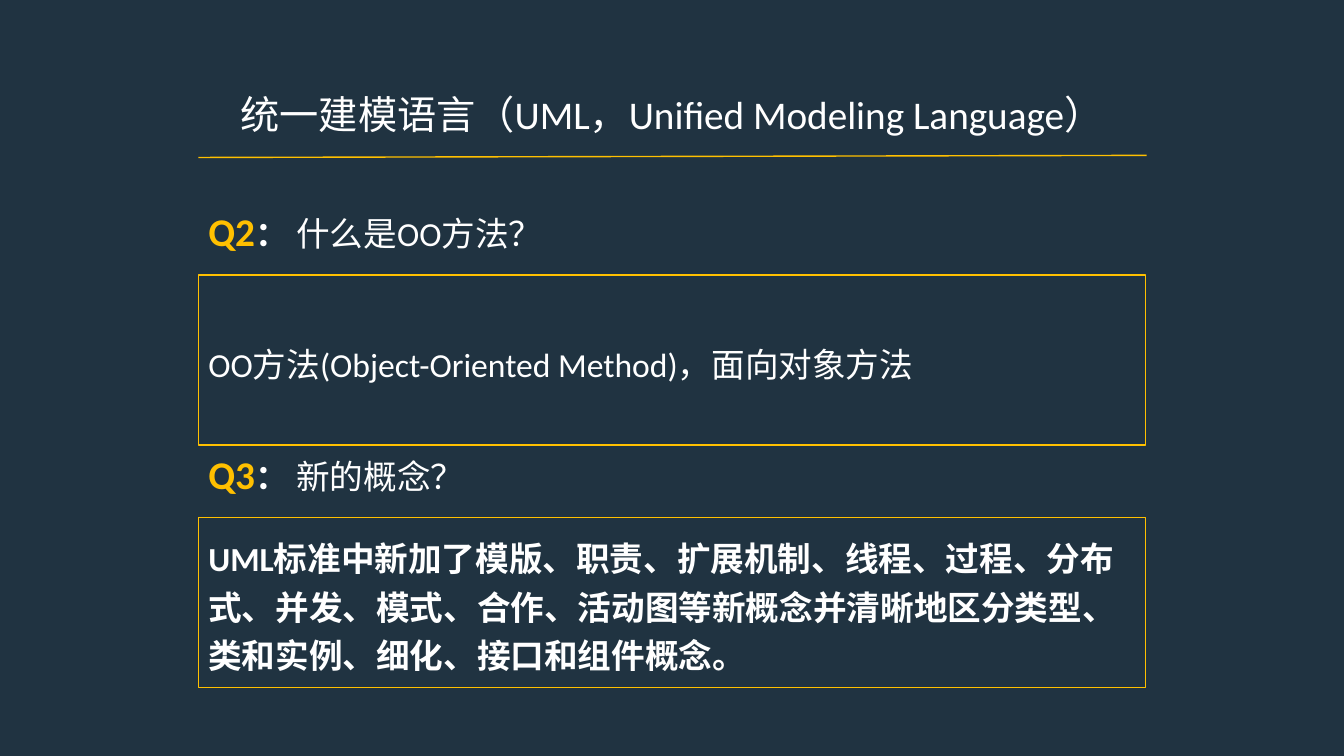
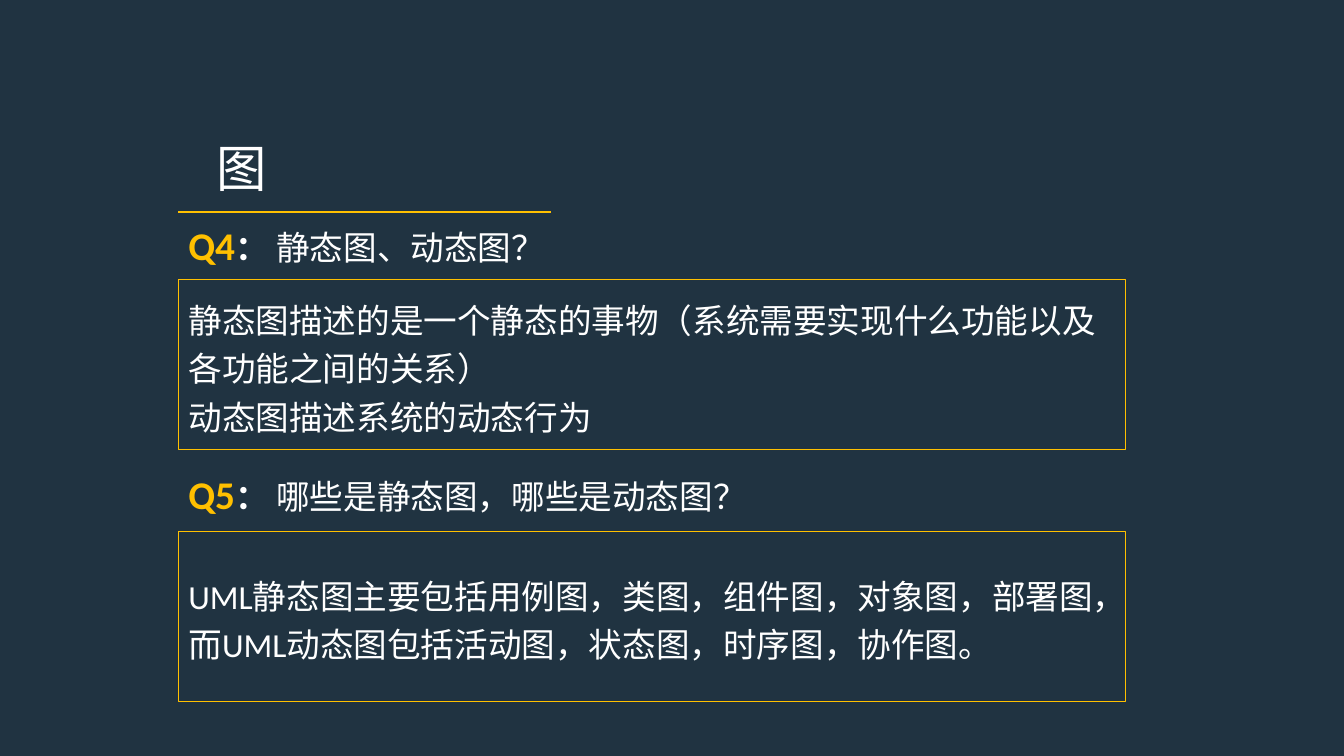
from dataclasses import dataclass

from pptx import Presentation
from pptx.dml.color import RGBColor
from pptx.enum.shapes import MSO_CONNECTOR, MSO_SHAPE
from pptx.enum.text import MSO_ANCHOR, MSO_AUTO_SIZE, PP_ALIGN
from pptx.oxml.ns import qn
from pptx.util import Emu, Pt
from lxml.etree import SubElement

PX = 9525  # EMU in one px


@dataclass(frozen=True)
class Theme:
    back: RGBColor = RGBColor(0x20, 0x33, 0x41)
    gold: RGBColor = RGBColor(0xFF, 0xC0, 0x00)
    white: RGBColor = RGBColor(0xFF, 0xFF, 0xFF)
    font: str = "Calibri"
    label: int = 28
    body: int = 24
    line: int = 1
    spacing: float = 1.2


T = Theme()
CARD_W, CARD_H, LABEL_H = 902, 162, 55

SLIDES = [
    dict(
        title="统一建模语言（UML，Unified Modeling Language）",
        title_size=28, title_box=(178, 81, 924, 55),
        rule=(189, 150, 1092, 148), left=189,
        questions=[
            dict(top=193, gap=14, label="Q2", ask="什么是OO方法？",
                 answer=["OO方法(Object-Oriented Method)，面向对象方法"]),
            dict(top=424, gap=14, label="Q3", ask="新的概念？", bold=True,
                 answer=["UML标准中新加了模版、职责、扩展机制、线程、过程、分布式、并发、"
                         "模式、合作、活动图等新概念并清晰地区分类型、类和实例、细化、"
                         "接口和组件概念。"]),
        ],
    ),
    dict(
        title="图",
        title_size=36, title_box=(157, 126, 147, 68),
        rule=(170, 202, 525, 202), left=170,
        questions=[
            dict(top=206, gap=5, label="Q4", ask="静态图、动态图？",
                 answer=["静态图描述的是一个静态的事物（系统需要实现什么功能以及各功能之间的关系）",
                         "动态图描述系统的动态行为"]),
            dict(top=443, gap=8, label="Q5", ask="哪些是静态图，哪些是动态图？",
                 answer=["UML静态图主要包括用例图，类图，组件图，对象图，部署图，"
                         "而UML动态图包括活动图，状态图，时序图，协作图。"]),
        ],
    ),
]


def px(*lengths):
    return [Emu(n * PX) for n in lengths]


def set_all(obj, **values):
    for name, value in values.items():
        setattr(obj, name, value)


def add_run(p, text, size, color=T.white, bold=False):
    r = p.add_run()
    r.text = text
    set_all(r.font, name=T.font, size=Pt(size), bold=bold)
    r.font.color.rgb = color


def add_title(s, text, size, box):
    sp = s.shapes.title
    set_all(sp, **dict(zip(("left", "top", "width", "height"), px(*box))))
    tf = sp.text_frame
    set_all(tf, word_wrap=True, vertical_anchor=MSO_ANCHOR.TOP,
            auto_size=MSO_AUTO_SIZE.SHAPE_TO_FIT_TEXT)
    p = tf.paragraphs[0]
    p.alignment = PP_ALIGN.CENTER
    add_run(p, text, size)


def add_rule(s, ends):
    line = s.shapes.add_connector(MSO_CONNECTOR.STRAIGHT, *px(*ends))
    line.line.color.rgb = T.gold
    line.line.width = Pt(T.line)
    SubElement(line._element.spPr, qn("a:effectLst"))


def add_question(s, left, top, gap, label, ask, answer, bold=False):
    # Question line
    sp = s.shapes.add_textbox(*px(left, top, CARD_W, LABEL_H))
    tf = sp.text_frame
    set_all(tf, word_wrap=True, auto_size=MSO_AUTO_SIZE.SHAPE_TO_FIT_TEXT)
    p = tf.paragraphs[0]
    add_run(p, label, T.label, T.gold, bold=True)
    add_run(p, "： ", T.body, bold=True)
    add_run(p, ask, T.body)

    # Outlined answer
    sp = s.shapes.add_shape(
        MSO_SHAPE.RECTANGLE, *px(left, top + LABEL_H + gap, CARD_W, CARD_H))
    sp.shadow.inherit = False
    sp.fill.background()
    sp.line.color.rgb = T.gold
    sp.line.width = Pt(T.line)
    tf = sp.text_frame
    set_all(tf, word_wrap=True, vertical_anchor=MSO_ANCHOR.MIDDLE)
    for i, text in enumerate(answer):
        p = tf.add_paragraph() if i else tf.paragraphs[0]
        set_all(p, alignment=PP_ALIGN.LEFT, line_spacing=T.spacing)
        add_run(p, text, T.body, bold=bold)


def add_question_slide(prs, title, title_size, title_box, rule, left, questions):
    s = prs.slides.add_slide(prs.slide_layouts.get_by_name("Title Only"))
    add_title(s, title, title_size, title_box)
    add_rule(s, rule)
    for question in questions:
        add_question(s, left, **question)


def main():
    prs = Presentation()
    prs.slide_width, prs.slide_height = px(1280, 720)
    fill = prs.slide_master.background.fill
    fill.solid()
    fill.fore_color.rgb = T.back
    for content in SLIDES:
        add_question_slide(prs, **content)
    prs.save("out.pptx")


if __name__ == "__main__":
    main()
